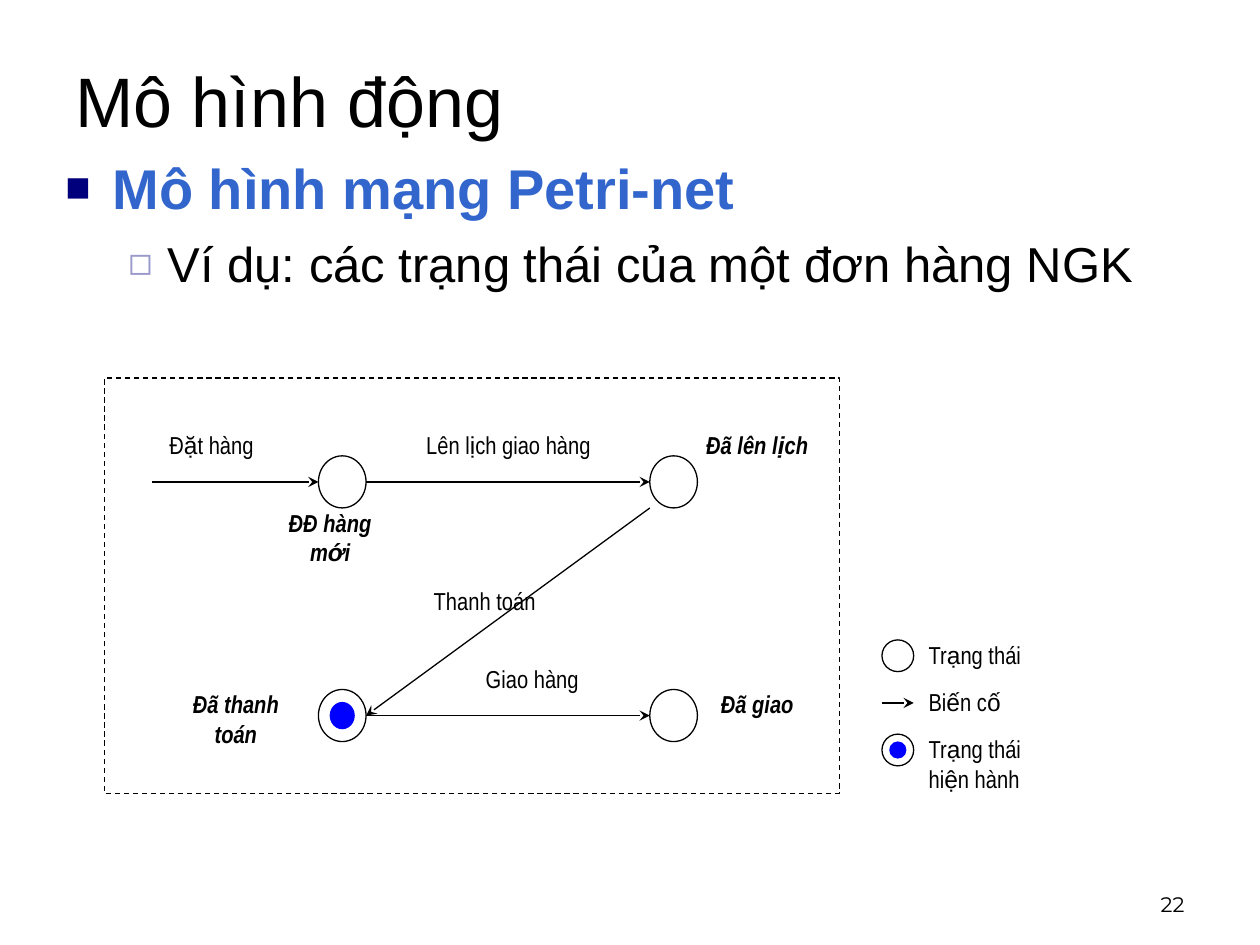
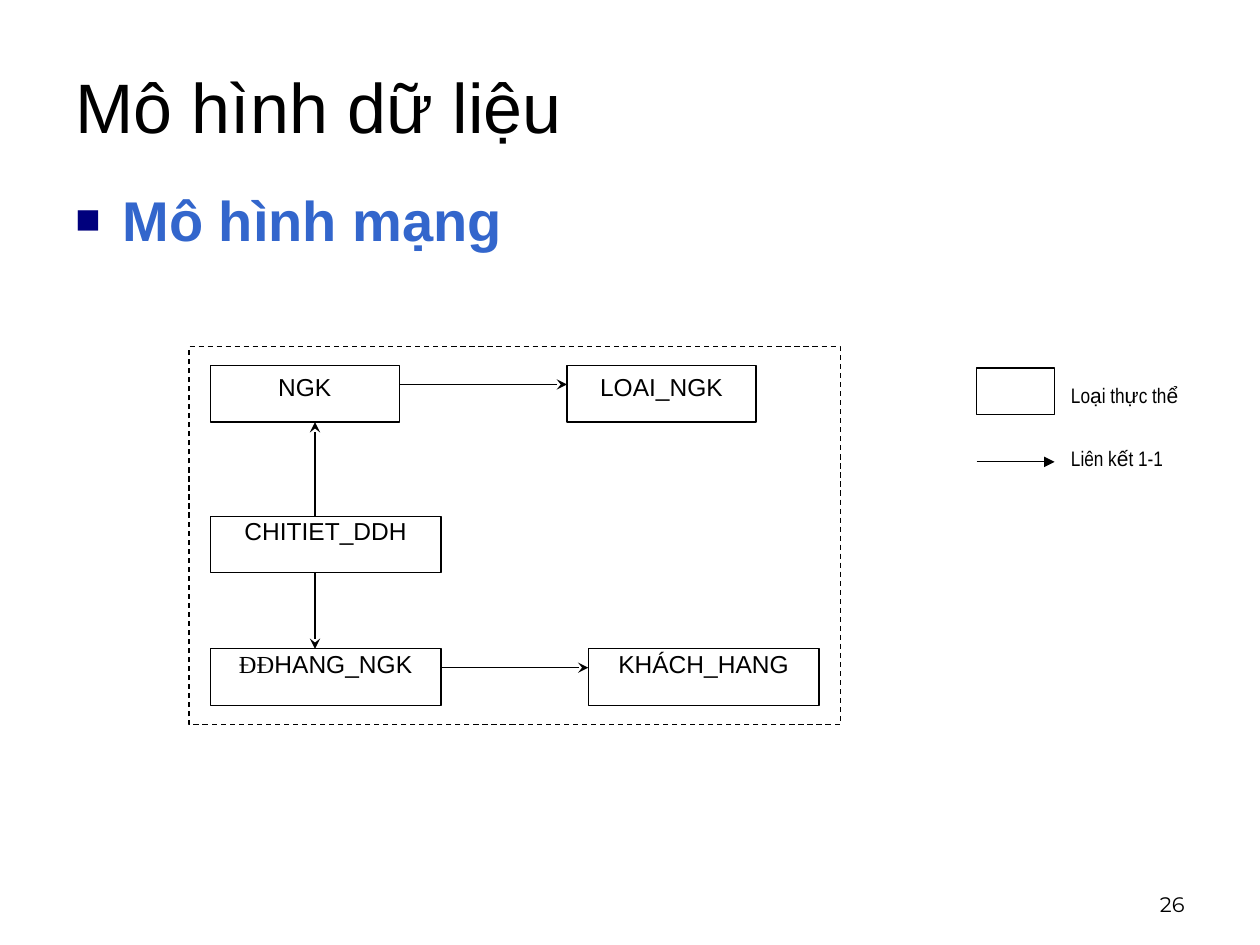
"""Build two slides: a Petri-net state diagram and a network data model."""
from dataclasses import dataclass
from itertools import groupby

from lxml import etree
from pptx import Presentation
from pptx.dml.color import RGBColor
from pptx.enum.dml import MSO_LINE
from pptx.enum.shapes import MSO_CONNECTOR, MSO_SHAPE
from pptx.enum.text import MSO_ANCHOR, PP_ALIGN
from pptx.oxml.ns import qn
from pptx.util import Cm, Pt

RECT, OVAL = MSO_SHAPE.RECTANGLE, MSO_SHAPE.OVAL
STRAIGHT, DASH = MSO_CONNECTOR.STRAIGHT, MSO_LINE.DASH
LEFT, CENTER, RIGHT = PP_ALIGN.LEFT, PP_ALIGN.CENTER, PP_ALIGN.RIGHT
TOP, MIDDLE, BOTTOM = MSO_ANCHOR.TOP, MSO_ANCHOR.MIDDLE, MSO_ANCHOR.BOTTOM
BLACK, WHITE, BLUE, TOKEN = "000000", "FFFFFF", "3366CC", "0000FF"
STATE_W, STATE_H = 0.96, 1.05
ENTITY_H = 1.14
PAD = (0.25, 0.13)
NO_PAD = (0, 0)


@dataclass(frozen=True)
class Style:
    """Run formatting; characters in alt_chars take alt_font."""
    size: int
    font: str = "Arial"
    color: str = BLACK
    bold: bool = False
    italic: bool = False
    alt_font: str = ""
    alt_chars: str = ""


@dataclass(frozen=True)
class Bullet:
    """Bullet glyph with its colour, size in percent and indents in cm."""
    char: str
    color: str
    percent: int
    margin: float
    hanging: float
    level: int


@dataclass(frozen=True)
class Label:
    """Text box placed in cm."""
    text: str
    x: float
    y: float
    w: float
    h: float
    style: Style
    align: PP_ALIGN = CENTER


@dataclass(frozen=True)
class Entity:
    """Entity box placed in cm."""
    name: str
    x: float
    y: float
    w: float
    pad: tuple[float, float] = NO_PAD


@dataclass(frozen=True)
class Arrow:
    """Straight arrow between two points in cm."""
    x1: float
    y1: float
    x2: float
    y2: float
    head: str = "stealth"


VIETNAMESE = "ạặếểệịốớự"
TITLE = Style(40)
HEADING = Style(32, color=BLUE, bold=True)
SUBHEADING = Style(28)
NUMBER = Style(12, "Montserrat")
EVENT = Style(14, "Arial Narrow", alt_font="Arial", alt_chars=VIETNAMESE)
STATE = Style(14, "Arial Narrow", bold=True, italic=True,
              alt_font="Arial", alt_chars=VIETNAMESE)
LEGEND = Style(12, "Arial Narrow", alt_font="Arial", alt_chars=VIETNAMESE)
ENTITY = Style(14, alt_font="Times New Roman", alt_chars="Đ")
SQUARE = Bullet("■", "00007D", 75, 0.95, 0.95, 0)
HOLLOW = Bullet("◻", "9999CC", 80, 2.06, 0.79, 1)


def rgb(value: str) -> RGBColor:
    """Turn a hex string into a colour."""
    return RGBColor.from_string(value)


def write(p, text: str, style: Style, align: PP_ALIGN = LEFT) -> None:
    """Fill a paragraph with runs, split where the font changes."""
    p.alignment = align
    for alt, chars in groupby(text, lambda c: c in style.alt_chars):
        r = p.add_run()
        r.text = "".join(chars)
        r.font.name = style.alt_font if alt else style.font
        r.font.size = Pt(style.size)
        r.font.bold = style.bold
        r.font.italic = style.italic
        r.font.color.rgb = rgb(style.color)


def set_frame(tf, pad: tuple[float, float], anchor: MSO_ANCHOR = TOP) -> None:
    """Set wrapping, insets and anchor of a text frame."""
    tf.word_wrap = True
    tf.margin_left = tf.margin_right = Cm(pad[0])
    tf.margin_top = tf.margin_bottom = Cm(pad[1])
    tf.vertical_anchor = anchor


def add_text(s, label: Label, pad: tuple[float, float] = NO_PAD,
             anchor: MSO_ANCHOR = TOP) -> None:
    """Add a one-paragraph text box."""
    sp = s.shapes.add_textbox(Cm(label.x), Cm(label.y), Cm(label.w), Cm(label.h))
    set_frame(sp.text_frame, pad, anchor)
    write(sp.text_frame.paragraphs[0], label.text, label.style, label.align)


def add_bullet(p, bullet: Bullet) -> None:
    """Give a paragraph its bullet and hanging indent."""
    p.level = bullet.level
    pPr = p._p.get_or_add_pPr()
    pPr.set("marL", str(Cm(bullet.margin)))
    pPr.set("indent", str(-Cm(bullet.hanging)))
    color = etree.SubElement(pPr, qn("a:buClr"))
    etree.SubElement(color, qn("a:srgbClr"), val=bullet.color)
    etree.SubElement(pPr, qn("a:buSzPct"), val=str(bullet.percent * 1000))
    etree.SubElement(pPr, qn("a:buFont"), typeface="Arial")
    etree.SubElement(pPr, qn("a:buChar"), char=bullet.char)


def add_body(s, x: float, y: float, h: float, heading: str, detail: str = "") -> None:
    """Add the bulleted heading and an optional second-level line."""
    sp = s.shapes.add_textbox(Cm(x), Cm(y), Cm(22.86), Cm(h))
    tf = sp.text_frame
    set_frame(tf, PAD)
    p = tf.paragraphs[0]
    add_bullet(p, SQUARE)
    write(p, heading, HEADING)
    if detail:
        p = tf.add_paragraph()
        add_bullet(p, HOLLOW)
        p.space_before = Pt(7)
        write(p, detail, SUBHEADING)


def add_shape(s, kind: MSO_SHAPE, x: float, y: float, w: float, h: float,
              fill: str = WHITE, line: str = BLACK):
    """Add an outlined shape; an empty fill leaves it clear."""
    sp = s.shapes.add_shape(kind, Cm(x), Cm(y), Cm(w), Cm(h))
    sp.shadow.inherit = False
    if fill:
        sp.fill.solid()
        sp.fill.fore_color.rgb = rgb(fill)
    else:
        sp.fill.background()
    sp.line.color.rgb = rgb(line)
    sp.line.width = Pt(0.75)
    return sp


def add_frame(s, x: float, y: float, w: float, h: float) -> None:
    """Add the dashed border of a diagram."""
    sp = add_shape(s, RECT, x, y, w, h, fill="")
    sp.line.dash_style = DASH


def add_state(s, x: float, y: float, w: float = STATE_W, h: float = STATE_H,
              current: bool = False) -> None:
    """Add a state circle, with a half-size token if it is current."""
    add_shape(s, OVAL, x, y, w, h)
    if current:
        add_shape(s, OVAL, x + w / 4, y + h / 4, w / 2, h / 2, TOKEN, TOKEN)


def add_entity(s, entity: Entity) -> None:
    """Add a named entity box."""
    sp = add_shape(s, RECT, entity.x, entity.y, entity.w, ENTITY_H)
    set_frame(sp.text_frame, entity.pad)
    write(sp.text_frame.paragraphs[0], entity.name, ENTITY, CENTER)


def add_arrow(s, arrow: Arrow) -> None:
    """Add a straight connector with an arrowhead at its end."""
    cx = s.shapes.add_connector(STRAIGHT, Cm(arrow.x1), Cm(arrow.y1),
                                Cm(arrow.x2), Cm(arrow.y2))
    cx.line.color.rgb = rgb(BLACK)
    cx.line.width = Pt(0.75)
    etree.SubElement(cx.line._get_or_add_ln(), qn("a:tailEnd"), type=arrow.head)
    etree.SubElement(cx._element.spPr, qn("a:effectLst"))


def add_slide(prs, title: str, title_h: float, number: int):
    """Add a blank slide with its title and page number."""
    s = prs.slides.add_slide(prs.slide_layouts[6])
    add_text(s, Label(str(number), 18.21, 17.35, 5.92, 1.27, NUMBER, RIGHT), PAD, BOTTOM)
    add_text(s, Label(title, 1.27, 1.27, 22.86, title_h, TITLE, LEFT), PAD, MIDDLE)
    return s


def build_petri_net(prs) -> None:
    """Build the order-state Petri net slide."""
    s = add_slide(prs, "Mô hình động", 1.47, 22)
    add_body(s, 1.07, 2.97, 4.01, "Mô hình mạng Petri-net",
             "Ví dụ: các trạng thái của một đơn hàng NGK")
    left, right, upper, lower = 6.42, 13.1, 9.19, 13.9
    upper_mid, lower_mid = upper + STATE_H / 2, lower + STATE_H / 2
    left_edge = left + STATE_W
    add_frame(s, 2.11, 7.62, 14.81, 8.38)
    add_state(s, left, upper)
    add_state(s, right, upper)
    add_state(s, right, lower)
    add_state(s, left, lower, current=True)
    for arrow in (
        Arrow(3.07, upper_mid, left, upper_mid),
        Arrow(left_edge, upper_mid, right, upper_mid),
        Arrow(left_edge, lower_mid, right, lower_mid),
        Arrow(right, upper + STATE_H, left_edge, lower_mid),
    ):
        add_arrow(s, arrow)
    for text, x, y, w, style in (
        ("Đặt hàng", 3.07, 8.66, 2.39, EVENT),
        ("Lên lịch giao hàng", 8.33, 8.66, 3.84, EVENT),
        ("Giao hàng", 8.81, 13.39, 3.84, EVENT),
        ("Thanh toán", 7.85, 11.81, 3.84, EVENT),
        ("ĐĐ hàng mới", 5.46, 10.24, 2.39, STATE),
        ("Đã lên lịch", 14.07, 8.66, 2.39, STATE),
        ("Đã giao", 14.07, 13.9, 2.39, STATE),
        ("Đã thanh toán", 3.56, 13.9, 2.39, STATE),
    ):
        add_text(s, Label(text, x, y, w, 1.57, style))

    key_x, key_y, key_step, key_size = 17.78, 12.9, 0.95, 0.64
    add_state(s, key_x, key_y, key_size, key_size)
    event_y = key_y + key_step + key_size / 2
    add_arrow(s, Arrow(key_x, event_y, key_x + key_size, event_y))
    add_state(s, key_x, key_y + 2 * key_step, key_size, key_size, current=True)
    for i, text in enumerate(("Trạng thái", "Biến cố", "Trạng thái hiện hành")):
        add_text(s, Label(text, 18.72, key_y + i * key_step, 2.54, key_size, EVENT, LEFT))


def build_data_model(prs) -> None:
    """Build the network data model slide."""
    s = add_slide(prs, "Mô hình dữ liệu", 1.7, 26)
    add_body(s, 1.27, 3.61, 3.61, "Mô hình mạng")
    add_frame(s, 3.81, 6.99, 13.13, 7.62)
    for entity in (
        Entity("NGK", 4.24, 7.37, 3.81, PAD),
        Entity("LOAI_NGK", 11.43, 7.37, 3.81, PAD),
        Entity("CHITIET_DDH", 4.24, 10.41, 4.65),
        Entity("ĐĐHANG_NGK", 4.24, 13.08, 4.65),
        Entity("KHÁCH_HANG", 11.86, 13.08, 4.65),
    ):
        add_entity(s, entity)
    for arrow in (
        Arrow(6.35, 10.41, 6.35, 8.51),
        Arrow(6.35, 11.55, 6.35, 13.08),
        Arrow(8.89, 13.46, 11.86, 13.46),
        Arrow(8.05, 7.75, 11.43, 7.75),
        Arrow(19.69, 9.31, 21.26, 9.31, "triangle"),
    ):
        add_arrow(s, arrow)
    add_shape(s, RECT, 19.69, 7.42, 1.57, 0.94)
    for i, text in enumerate(("Loại thực thể", "Liên kết 1-1")):
        add_text(s, Label(text, 21.59, 7.72 + 1.27 * i, 2.25, 0.64, LEGEND, LEFT))


def main() -> None:
    """Build and save the presentation."""
    prs = Presentation()
    prs.slide_width, prs.slide_height = Cm(25.4), Cm(19.05)
    build_petri_net(prs)
    build_data_model(prs)
    prs.save("out.pptx")


if __name__ == "__main__":
    main()
